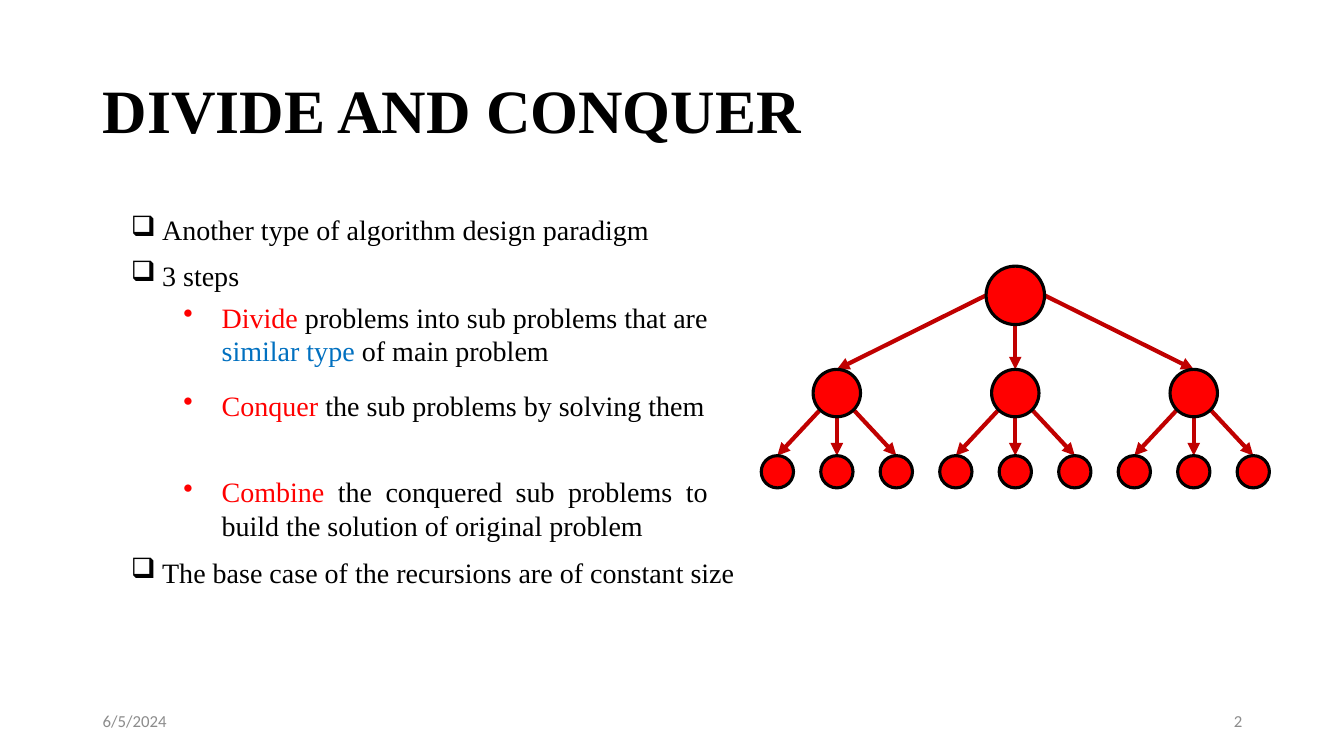
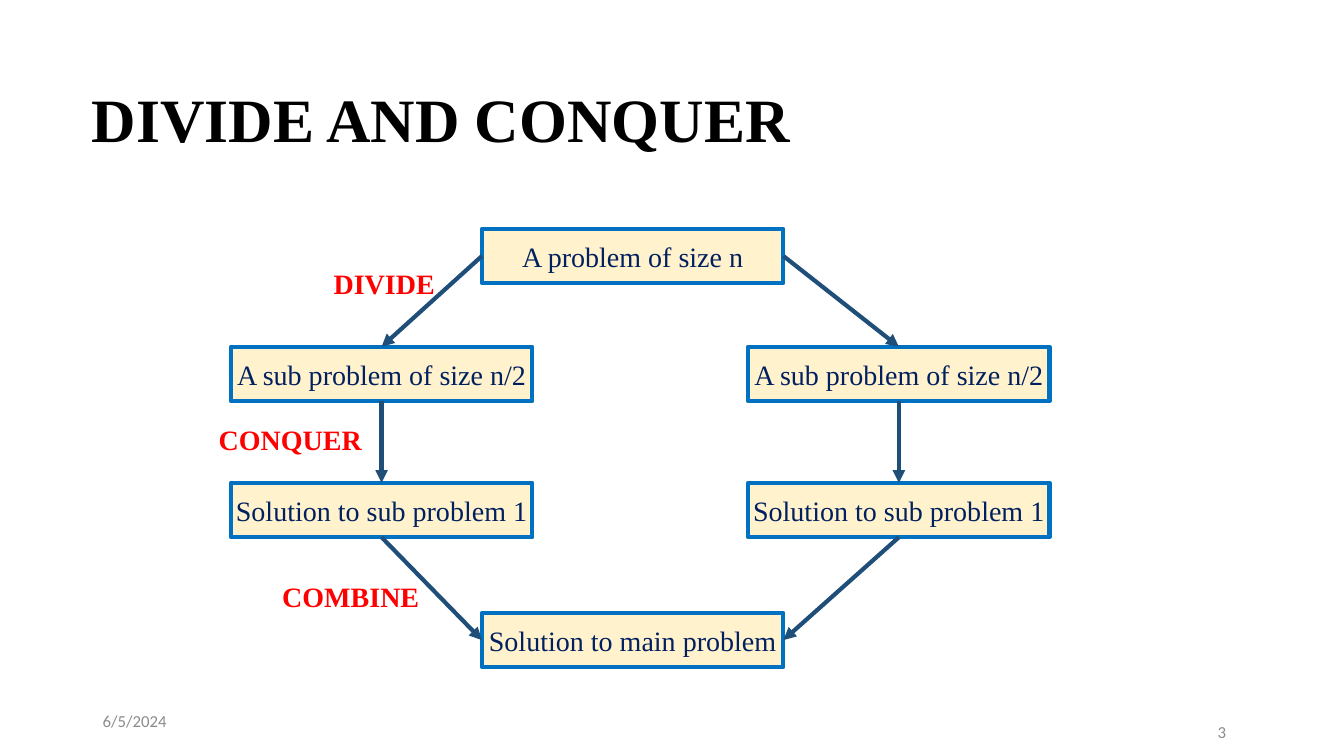
from collections import namedtuple

from lxml import etree
from pptx import Presentation
from pptx.dml.color import RGBColor
from pptx.enum.shapes import MSO_CONNECTOR as Connector, MSO_SHAPE as Shape
from pptx.enum.text import MSO_ANCHOR as Anchor, MSO_AUTO_SIZE as AutoSize, PP_ALIGN as Align
from pptx.oxml.ns import qn
from pptx.util import Emu, Pt

EMU_PER_PX = 9144  # 100 px to the inch
TITLE_ONLY = 5
SERIF, SANS = "Times New Roman", "Calibri"
BLACK, RED, BLUE, GREY = "000000", "FF0000", "0070C0", "8C8C8C"
TREE_ARROW, FLOW_ARROW = "C00000", "1F4E79"
CREAM, NAVY = "FFF2CC", "002060"
TOP, LEFT, BOTTOM, RIGHT = range(4)

Box = namedtuple("Box", "left top width height")
Item = namedtuple("Item", "runs space_before")


def px(length):
    return Emu(round(length * EMU_PER_PX))


def emu_box(box):
    return [px(length) for length in box]


def rgb(colour):
    return RGBColor.from_string(colour)


def add_run(paragraph, text, colour, size=20, font=SERIF, bold=False):
    run = paragraph.add_run()
    run.text = text
    run.font.name = font
    run.font.size = Pt(size)
    run.font.bold = bold
    run.font.color.rgb = rgb(colour)


def add_text_frame(slide, box, anchor=Anchor.TOP):
    frame = slide.shapes.add_textbox(*emu_box(box)).text_frame
    frame.word_wrap = True
    frame.vertical_anchor = anchor
    return frame


def add_title(slide, box):
    title = slide.shapes.title
    title.left, title.top, title.width, title.height = emu_box(box)
    frame = title.text_frame
    frame.auto_size = AutoSize.NONE
    frame.vertical_anchor = Anchor.MIDDLE
    heading = frame.paragraphs[0]
    heading.alignment = Align.LEFT
    heading.line_spacing = 0.9
    add_run(heading, "DIVIDE AND CONQUER", BLACK, size=44, bold=True)


def add_footer(slide, text, box, align):
    paragraph = add_text_frame(slide, box, Anchor.MIDDLE).paragraphs[0]
    paragraph.alignment = align
    add_run(paragraph, text, GREY, size=12, font=SANS)


def start_slide(prs, title_box, number, number_box):
    """Add a slide with the shared title, date and slide number."""
    slide = prs.slides.add_slide(prs.slide_layouts[TITLE_ONLY])
    add_title(slide, title_box)
    add_footer(slide, "6/5/2024", Box(92, 695, 300, 40), Align.LEFT)
    add_footer(slide, number, number_box, Align.RIGHT)
    return slide


def add_bullets(slide, box, items, bullet, indent, align):
    frame = add_text_frame(slide, box)
    for index, item in enumerate(items):
        paragraph = frame.add_paragraph() if index else frame.paragraphs[0]
        properties = paragraph._p.get_or_add_pPr()
        properties.set("marL", str(px(indent)))
        properties.set("indent", str(-px(indent)))
        etree.SubElement(properties, qn("a:buChar")).set("char", bullet)
        paragraph.alignment = align
        if index:
            paragraph.space_before = Pt(item.space_before)
        for text, colour in item.runs:
            add_run(paragraph, text, colour)


def add_arrow(slide, start, end, colour):
    arrow = slide.shapes.add_connector(
        Connector.STRAIGHT, *[px(length) for length in (*start, *end)])
    arrow.line.color.rgb = rgb(colour)
    arrow.line.width = Pt(3)
    etree.SubElement(arrow.line._get_or_add_ln(), qn("a:tailEnd")).set("type", "triangle")
    etree.SubElement(arrow._element.spPr, qn("a:effectLst"))
    return arrow


def add_shape(slide, kind, box, fill, line, line_width):
    shape = slide.shapes.add_shape(kind, *emu_box(box))
    shape.shadow.inherit = False
    shape.fill.solid()
    shape.fill.fore_color.rgb = rgb(fill)
    shape.line.color.rgb = rgb(line)
    shape.line.width = Pt(line_width)
    return shape


def add_node(slide, centre, diameter):
    x, y = centre
    box = Box(x - diameter / 2, y - diameter / 2, diameter, diameter)
    add_shape(slide, Shape.OVAL, box, RED, BLACK, 2.25)


def add_tree(slide, box):
    """Draw a root with three children, each with three leaves."""
    root_size, child_size, leaf_size = 58, 47, 32
    leaf_gap = (box.width - leaf_size) / 8
    leaf_y = box.top + box.height - leaf_size / 2
    child_y = box.top + 126
    leaves = [(box.left + leaf_size / 2 + leaf_gap * i, leaf_y) for i in range(9)]
    children = [(x, child_y) for x, _ in leaves[1::3]]
    root = root_x, root_y = children[1][0], box.top + root_size / 2

    for side, (x, y) in zip((-1, 0, 1), children):
        drop = 0 if side else root_size / 2
        add_arrow(slide, (root_x + side * root_size / 2, root_y + drop),
                  (x, y - child_size / 2), TREE_ARROW)
    for index, (x, y) in enumerate(leaves):
        parent_x, parent_y = children[index // 3]
        side = index % 3 - 1
        reach = child_size / 2 * (0.71 if side else 1)
        add_arrow(slide, (parent_x + side * reach, parent_y + reach),
                  (x, y - leaf_size / 2), TREE_ARROW)

    for centres, size in ((leaves, leaf_size), (children, child_size), ([root], root_size)):
        for centre in centres:
            add_node(slide, centre, size)


def add_problem(slide, box, text):
    problem = add_shape(slide, Shape.RECTANGLE, box, CREAM, BLUE, 3)
    frame = problem.text_frame
    frame.margin_left = frame.margin_right = 0
    frame.word_wrap = False
    frame.vertical_anchor = Anchor.MIDDLE
    paragraph = frame.paragraphs[0]
    paragraph.alignment = Align.CENTER
    add_run(paragraph, text, NAVY)
    return problem


def add_flow(slide, box):
    """Draw the flow from problem to solution, with its phase labels."""
    width, height = 299, 54
    left_x, centre_x, right_x = 22, 271, box.width - width
    halves_y, solved_y, main_y = 117, 252, box.height - height
    problems = {
        "whole": (centre_x, 0, "A problem of size n"),
        "left half": (left_x, halves_y, "A sub problem of size n/2"),
        "right half": (right_x, halves_y, "A sub problem of size n/2"),
        "left solved": (left_x, solved_y, "Solution to sub problem 1"),
        "right solved": (right_x, solved_y, "Solution to sub problem 1"),
        "main": (centre_x, main_y, "Solution to main problem"),
    }
    placed = {
        key: add_problem(slide, Box(box.left + x, box.top + y, width, height), text)
        for key, (x, y, text) in problems.items()
    }
    for side, outer in (("left", LEFT), ("right", RIGHT)):
        half, solved = f"{side} half", f"{side} solved"
        for source, source_side, target, target_side in (
            ("whole", outer, half, TOP),
            (half, BOTTOM, solved, TOP),
            (solved, BOTTOM, "main", outer),
        ):
            arrow = add_arrow(slide, (0, 0), (0, 0), FLOW_ARROW)
            arrow.begin_connect(placed[source], source_side)
            arrow.end_connect(placed[target], target_side)
    for x, y, phase in ((114, 32, "DIVIDE"), (0, 187, "CONQUER"), (63, 343, "COMBINE")):
        frame = add_text_frame(slide, Box(box.left + x, box.top + y, 170, 44))
        add_run(frame.paragraphs[0], phase, RED, bold=True)


def add_steps(slide, box):
    """Place the outline, with the three steps indented inside it."""
    paradigm = [
        Item([("Another type of algorithm design paradigm", BLACK)], 0),
        Item([("3 steps", BLACK)], 8.5),
    ]
    steps = [
        Item([("Divide", RED), (" problems into sub problems that are ", BLACK),
              ("similar type", BLUE), (" of main problem", BLACK)], 0),
        Item([("Conquer", RED), (" the sub problems by solving them", BLACK)], 15),
        Item([("Combine", RED), (" the conquered sub problems to build the solution"
                                 " of original problem", BLACK)], 37.5),
    ]
    base_case = [Item([("The base case of the recursions are of constant size", BLACK)], 0)]
    outer = ("❑", 31, Align.LEFT)
    add_bullets(slide, Box(box.left, box.top, box.width, 87), paradigm, *outer)
    add_bullets(slide, Box(box.left + 52, box.top + 87, 540, 246), steps,
                "•", 38, Align.JUSTIFY)
    add_bullets(slide, Box(box.left, box.top + box.height - 44, box.width, 44),
                base_case, *outer)


def build_steps_slide(prs):
    slide = start_slide(prs, Box(92, 40, 1150, 145), "2", Box(942, 695, 300, 40))
    add_steps(slide, Box(120, 206, 630, 384))
    add_tree(slide, Box(755, 264, 504, 220))


def build_flow_slide(prs):
    slide = start_slide(prs, Box(81, 42, 1100, 159), "3", Box(1083, 706, 143, 40))
    add_flow(slide, Box(207, 227, 834, 435))


def main():
    prs = Presentation()
    prs.slide_width, prs.slide_height = px(1333), px(750)
    build_steps_slide(prs)
    build_flow_slide(prs)
    prs.save("out.pptx")


if __name__ == "__main__":
    main()
